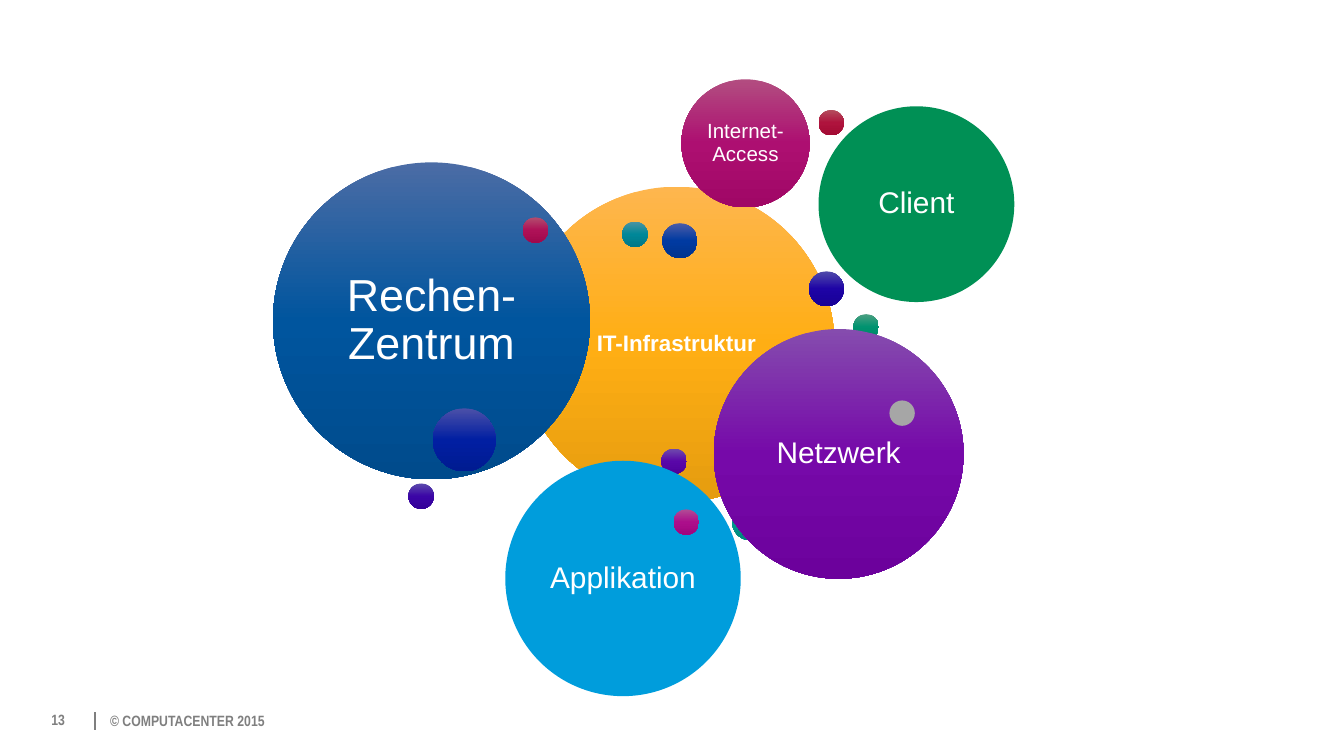
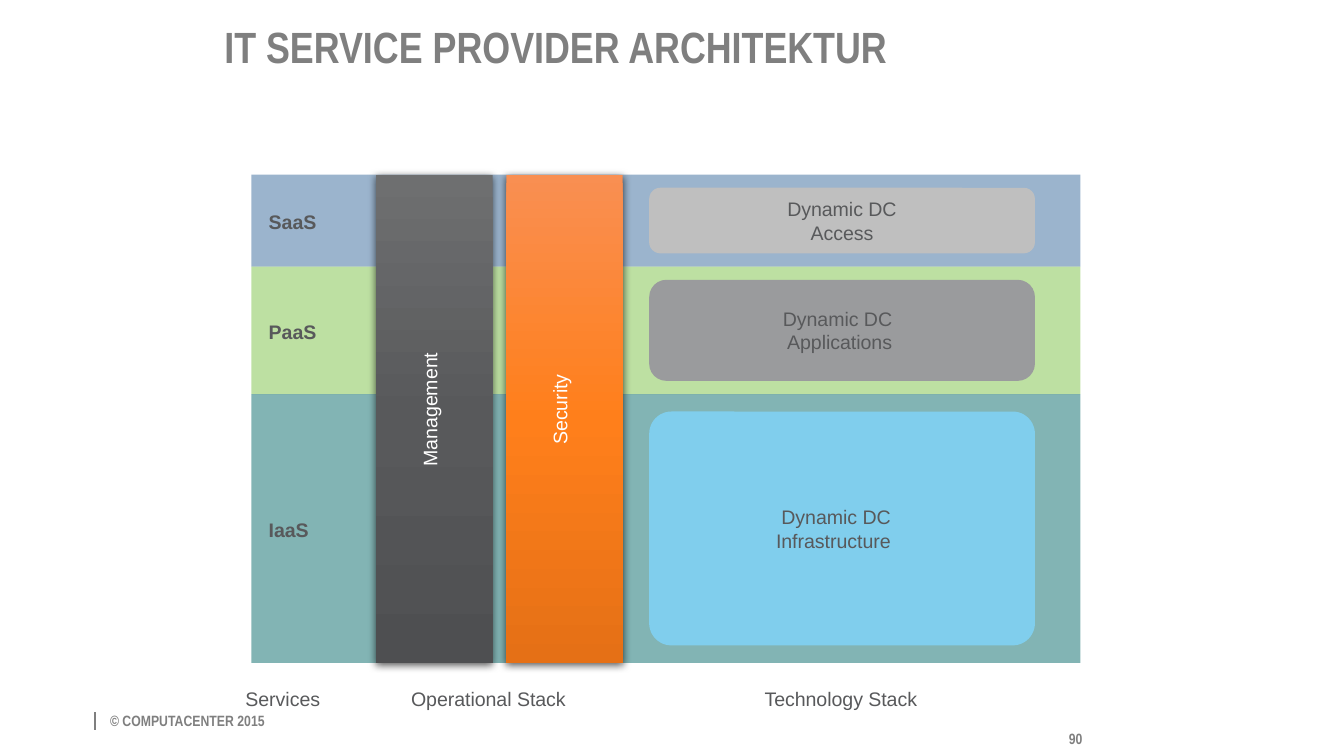
from copy import deepcopy

from lxml.etree import SubElement
from pptx import Presentation
from pptx.dml.color import RGBColor
from pptx.enum.shapes import MSO_CONNECTOR, MSO_SHAPE
from pptx.enum.text import MSO_ANCHOR as ANCHOR, PP_ALIGN as ALIGN
from pptx.oxml.ns import qn
from pptx.util import Cm, Pt

BODY, NARROW = "Arial", "Arial Narrow"
GREY, DARK, WHITE = "7F7F7F", "58595B", "FFFFFF"
PLACEHOLDER_INSETS = (0.18, 0.1, 0.18, 0.1)
TEXT_INSETS = (0.25, 0.13, 0.25, 0.13)
SMALL, MEDIUM, LARGE = 0.48, 0.66, 1.19  # dot diameters

# left, top, diameter, fill (one colour or top/middle/bottom), label, size, bold
BUBBLES = [
    (4.64, 2.03, 5.97, "FEB64E FFAE14 E59C0F", "IT-Infrastruktur", 12, True),
    (6.47, 7.54, SMALL, "4B9C6C 009055 00804C"),
    (10.97, 4.44, SMALL, "4B9F81 009370 008264"),
    (8.68, 8.05, MEDIUM, "4BA199 00968C 00857D"),
    (6.6, 2.69, SMALL, "4B94A3 008798 007887"),
    (5.1, 5.43, SMALL, "4B7FA4 006E9B 00628A"),
    (0, 1.57, 5.99, "4B6CA5 00559E 004B8C", "Rechen-\nZentrum", 24, False),
    (7.36, 2.72, MEDIUM, "4B5CA7 003AA1 00348F"),
    (3.02, 6.22, LARGE, "4B50A8 011FA2 001B91"),
    (10.31, 0.51, 3.7, "009055", "Client", 16, False),
    (10.13, 3.63, MEDIUM, "504BAA 1E04A5 180096"),
    (2.56, 7.64, SMALL, "5C4BAC 3B05A6 330099"),
    (7.34, 6.98, SMALL, "6F4CAD 5907A8 4F009B"),
    (8.33, 4.72, 4.72, "854CAE 7609A9 6C019C", "Netzwerk", 16, False),
    (11.65, 6.07, SMALL, "A6A6A6"),
    (4.39, 7.21, 4.45, "009DDC", "Applikation", 16, False),
    (7.57, 8.13, SMALL, "B14C95 AC0E8B 9F067F"),
    (7.72, 0, 2.42, "B24D80 AD0F71 A00766", "Internet-Access", 11, False),
    (4.72, 2.61, SMALL, "B34D6E AE1157 A1094C"),
    (10.31, 0.58, SMALL, "B44D5D AF133D A20A33"),
]

# name, band height, band colour, card text, card height, card colour, corner, alignment
LAYERS = [
    ("SaaS", 1.74, "336699", "Dynamic DC\nAccess", 1.24, "BFBFBF", 0.17, ALIGN.CENTER),
    ("PaaS", 2.41, "7AC143", "Dynamic DC\nApplications", 1.91, "9A9B9D", 0.17, ALIGN.RIGHT),
    ("IaaS", 5.08, "006666", "Dynamic DC\nInfrastructure", 4.42, "80CEED", 0.095, ALIGN.RIGHT),
]
PILLARS = [("Management", "6E6F70 58595B 4E4F51"), ("Security", "F98F52 FF7F1B E57016")]
CAPTIONS = [("Services", -0.36, 1.96), ("Operational Stack", 2.77, 3.48),
            ("Technology Stack", 9.45, 3.48)]


def rgb(value):
    return RGBColor.from_string(value)


def paint(sp, colors, alpha=None):
    """Fill with one colour, or with a vertical gradient of three."""
    colors = colors.split()
    fill = sp.fill
    if len(colors) == 1:
        fill.solid()
        fill.fore_color.rgb = rgb(colors[0])
        if alpha:
            color = sp.element.spPr.find(qn("a:solidFill"))[0]
            SubElement(color, qn("a:alpha"), val=str(alpha * 1000))
        return
    fill.gradient()
    fill.gradient_angle = 270
    stop_list = sp.element.spPr.find(qn("a:gradFill")).find(qn("a:gsLst"))
    stop_list.append(deepcopy(stop_list[0]))
    for i, (stop, color) in enumerate(zip(fill.gradient_stops, colors)):
        stop.position = i / 2
        stop.color.rgb = rgb(color)


def add_shape(slide, kind, box, colors, alpha=None):
    sp = slide.shapes.add_shape(kind, *map(Cm, box))
    sp.shadow.inherit = False
    sp.line.fill.background()
    paint(sp, colors, alpha)
    return sp


def cast_shadow(sp):
    effects = sp.element.spPr.find(qn("a:effectLst"))
    shadow = SubElement(effects, qn("a:outerShdw"), blurRad=str(Pt(4.5)),
                        dist=str(Pt(1.5)), dir="5400000", rotWithShape="0")
    color = SubElement(shadow, qn("a:srgbClr"), val="000000")
    SubElement(color, qn("a:alpha"), val="63000")


def write(sp, text, size, color, bold=False, font=BODY, align=ALIGN.LEFT,
          anchor=ANCHOR.TOP, insets=TEXT_INSETS, wrap=True, spacing=None):
    tf = sp.text_frame
    tf.word_wrap = wrap
    tf.vertical_anchor = anchor
    tf.margin_left, tf.margin_top, tf.margin_right, tf.margin_bottom = map(Cm, insets)
    p = tf.paragraphs[0]
    p.text = text
    p.alignment = align
    p.line_spacing = spacing
    p.font.name, p.font.size, p.font.bold = font, Pt(size), bold
    p.font.color.rgb = rgb(color)


def add_text(slide, box, text, size, color, **style):
    sp = slide.shapes.add_textbox(*map(Cm, box))
    write(sp, text, size, color, **style)
    return sp


def add_narrow_text(slide, box, text, size, **style):
    add_text(slide, box, text, size, GREY, bold=True, font=NARROW,
             insets=PLACEHOLDER_INSETS, **style)


def add_footer(slide, left, top, number, number_box):
    rule = slide.shapes.add_connector(MSO_CONNECTOR.STRAIGHT, Cm(left), Cm(top),
                                      Cm(left), Cm(top + 0.33))
    rule.line.color.rgb = rgb(GREY)
    rule.line.width = Pt(1)
    SubElement(rule.element.spPr, qn("a:effectLst"))
    add_narrow_text(slide, (left + 0.1, top - 0.1, 20.73, 0.53), "© COMPUTACENTER 2015", 8)
    add_narrow_text(slide, number_box, number, 8, anchor=ANCHOR.MIDDLE)


def add_bubbles(slide, left, top):
    for x, y, diameter, colors, *label in BUBBLES:
        sp = add_shape(slide, MSO_SHAPE.OVAL, (left + x, top + y, diameter, diameter), colors)
        if label:
            text, size, bold = label
            write(sp, text, size, WHITE, bold=bold, align=ALIGN.CENTER,
                  anchor=ANCHOR.MIDDLE, insets=(0.1,) * 4, spacing=0.9)


def add_layers(slide, left, top, width):
    for name, height, color, text, card_height, card_color, corner, align in LAYERS:
        middle = top + height / 2
        add_shape(slide, MSO_SHAPE.RECTANGLE, (left, top, width, height), color, alpha=49)
        add_text(slide, (left + 0.08, middle - 0.33, 1.42, 0.71), name, 10.5, DARK,
                 bold=True, wrap=False)
        card = add_shape(slide, MSO_SHAPE.ROUNDED_RECTANGLE,
                         (left + 7.52, middle - card_height / 2, 7.29, card_height), card_color)
        card.adjustments[0] = corner
        right_inset = 2.6 if align == ALIGN.RIGHT else 0.08
        write(card, text, 10.5, DARK, align=align, anchor=ANCHOR.MIDDLE,
              insets=(0.08, 0.08, right_inset, 0.08))
        top += height


def add_pillars(slide, left, top, height):
    width, pitch, label_width, label_height = 2.2, 2.46, 7.98, 0.69
    for i, (name, colors) in enumerate(PILLARS):
        x = left + i * pitch
        bar = add_shape(slide, MSO_SHAPE.RECTANGLE, (x, top, width, height), colors)
        cast_shadow(bar)
        label_box = (x + (width - label_width) / 2, top + (height - label_height) / 2 - 0.1,
                     label_width, label_height)
        label = add_text(slide, label_box, name, 10.5, WHITE, align=ALIGN.CENTER,
                         insets=(0.25, 0.03, 0.1, 0.18))
        label.rotation = 270


def add_captions(slide, left, top):
    for text, x, width in CAPTIONS:
        add_text(slide, (left + x, top, width, 0.71), text, 10.5, DARK, wrap=False)


def add_architecture(slide, left, top, width):
    height = sum(layer[1] for layer in LAYERS)
    add_layers(slide, left, top, width)
    add_pillars(slide, left + 2.36, top, height)
    add_captions(slide, left, top + height + 0.32)


def main():
    prs = Presentation()
    prs.slide_width, prs.slide_height = Cm(25.4), Cm(14.29)
    blank = prs.slide_layouts[6]

    s = prs.slides.add_slide(blank)
    add_bubbles(s, 5.16, 1.5)
    add_footer(s, 1.8, 13.46, "13", (0.79, 13.23, 1.68, 0.76))

    s = prs.slides.add_slide(blank)
    add_narrow_text(s, (4.06, 0.38, 14.4, 2.03), "IT SERVICE PROVIDER ARCHITEKTUR", 23.4,
                    spacing=0.9)
    add_architecture(s, 4.75, 3.3, 15.67)
    add_footer(s, 1.8, 13.46, "90", (20.02, 13.69, 1.93, 0.56))

    prs.save("out.pptx")


if __name__ == "__main__":
    main()
